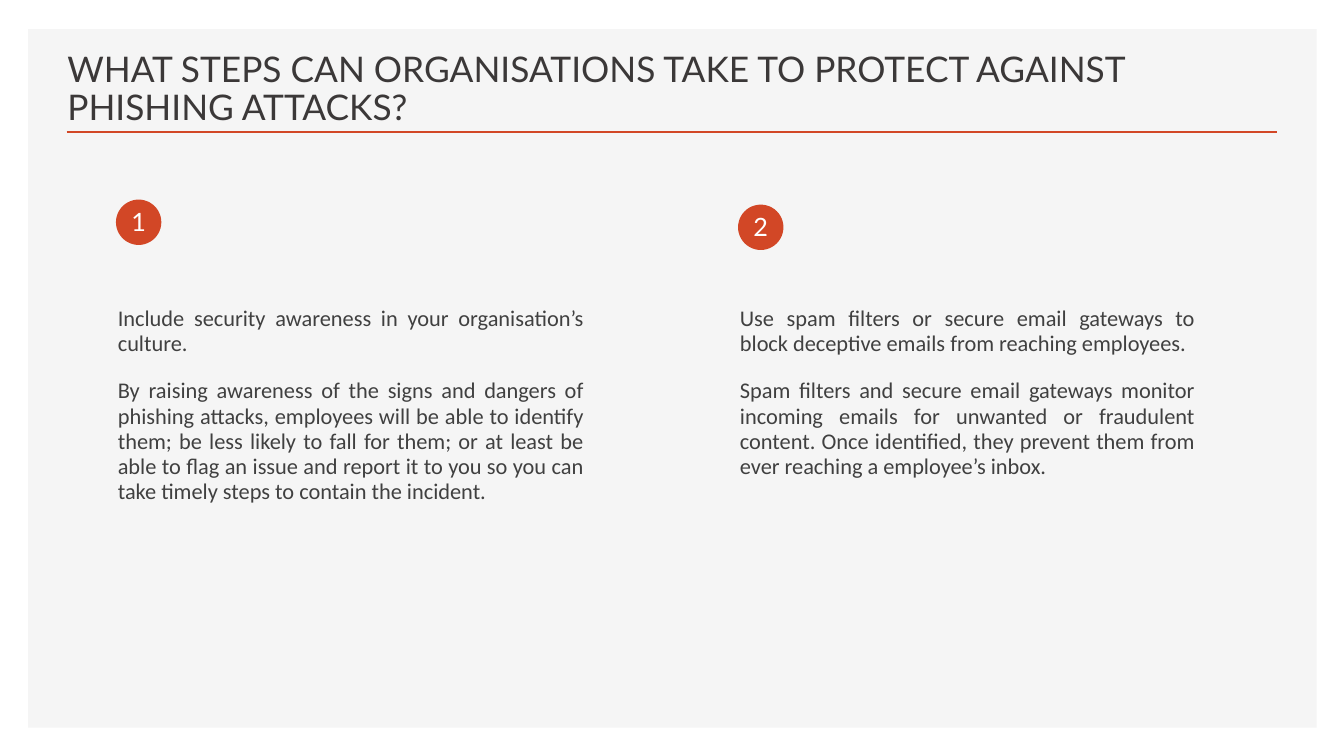
import pptx
import pptx.util
import pptx.dml.color
import pptx.enum.shapes
import pptx.enum.text
import lxml.etree

Inches = pptx.util.Inches
Pt = pptx.util.Pt
RGB = pptx.dml.color.RGBColor
Align = pptx.enum.text.PP_ALIGN
Anchor = pptx.enum.text.MSO_ANCHOR
Kind = pptx.enum.shapes.MSO_SHAPE

WHITE = RGB(0xFF, 0xFF, 0xFF)
PANEL = RGB(0xF5, 0xF5, 0xF5)
ACCENT = RGB(0xD2, 0x47, 0x26)
TITLE = RGB(0x3B, 0x38, 0x38)
BODY = RGB(0x40, 0x40, 0x40)

STEPS = [
    ((1.07, 1.98, 4.82, 4.07), [
        "Include security awareness in your organisation’s culture.",
        "By raising awareness of the signs and dangers of phishing attacks, "
        "employees will be able to identify them; be less likely to fall for "
        "them; or at least be able to flag an issue and report it to you so "
        "you can take timely steps to contain the incident."]),
    ((7.24, 2.03, 4.71, 5.18), [
        "Use spam filters or secure email gateways to block deceptive emails "
        "from reaching employees.",
        "Spam filters and secure email gateways monitor incoming emails for "
        "unwanted or fraudulent content. Once identified, they prevent them "
        "from ever reaching a employee’s inbox."]),
]
BODY_TOP = 2.98


def add_fill(shapes, kind, box, color):
    """Add a plain filled shape."""
    shape = shapes.add_shape(kind, *map(Inches, box))
    shape.shadow.inherit = False
    shape.fill.solid()
    shape.fill.fore_color.rgb = color
    shape.line.fill.background()


def add_text(shapes, box, lines, font, size, color, align):
    """Add a wrapped text box and return its frame."""
    frame = shapes.add_textbox(*map(Inches, box)).text_frame
    frame.word_wrap = True
    frame.text = "\n".join(lines)
    for para in frame.paragraphs:
        para.alignment = align
        for run in para.runs:
            run.font.name = font
            run.font.size = Pt(size)
            run.font.color.rgb = color
    return frame


def add_head(shapes, box):
    """Place the panel, the title and the rule below it."""
    left, top, width, height = box
    add_fill(shapes, Kind.RECTANGLE, box, PANEL)
    level = Inches(top + 1.02)
    rule = shapes.add_connector(
        pptx.enum.shapes.MSO_CONNECTOR.STRAIGHT,
        Inches(left + 0.38), level, Inches(left + width - 0.39), level)
    rule.line.color.rgb = ACCENT
    rule.line.width = Pt(2)
    lxml.etree.SubElement(rule._element.spPr,
                          pptx.oxml.ns.qn("a:effectLst"))
    frame = add_text(
        shapes, (left + 0.29, top + 0.33, 11.43, 0.7),
        ["WHAT STEPS CAN ORGANISATIONS TAKE TO PROTECT AGAINST "
         "PHISHING ATTACKS?"], "Lato", 25.2, TITLE, Align.LEFT)
    frame.vertical_anchor = Anchor.BOTTOM
    frame.paragraphs[0].line_spacing = 0.9


def add_step(shapes, box, number, lines):
    """Place a numbered badge with its text below."""
    left, top, width, height = box
    add_fill(shapes, Kind.OVAL, (left + 0.08, top, 0.45, 0.45), ACCENT)
    add_text(shapes, (left, top + 0.02, 0.61, 0.4), [str(number)],
             "Lato", 18, WHITE, Align.CENTER)
    frame = add_text(
        shapes, (left, BODY_TOP, width, top + height - BODY_TOP),
        lines, "Calibri", 16, BODY, Align.JUSTIFY)
    for para in frame.paragraphs:
        para.line_spacing = Pt(18)
        para.space_before = Pt(10)
        para.space_after = Pt(6)


def build():
    """Build and save the slide."""
    deck = pptx.Presentation()
    deck.slide_width = Inches(13.33)
    deck.slide_height = Inches(7.5)
    shapes = deck.slides.add_slide(deck.slide_layouts[6]).shapes
    add_head(shapes, (0.28, 0.29, 12.78, 6.93))
    for number, (box, lines) in enumerate(STEPS, 1):
        add_step(shapes, box, number, lines)
    deck.save("out.pptx")


build()
